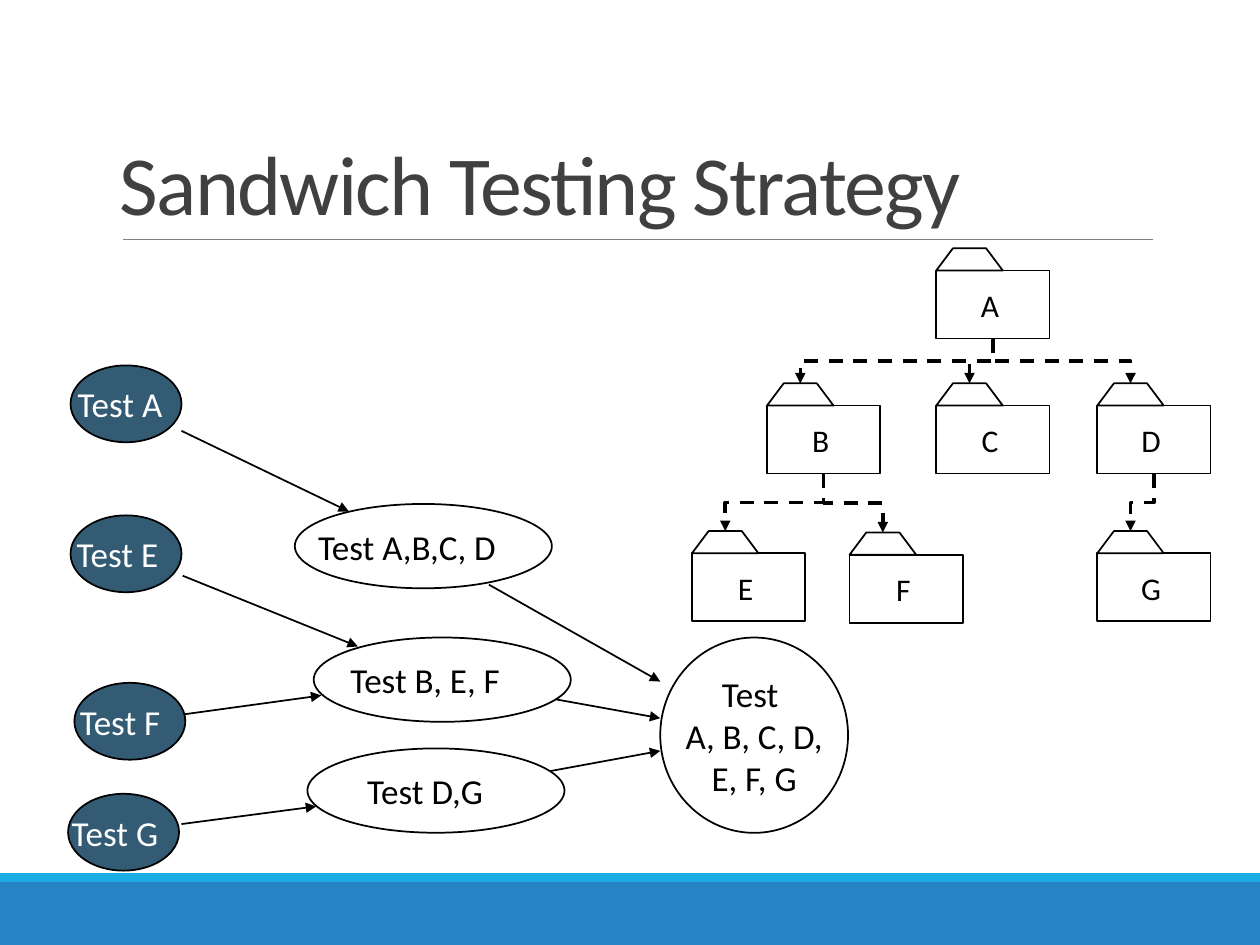
from lxml import etree
from pptx import Presentation, util as u
from pptx.dml.color import RGBColor
from pptx.enum import dml, shapes, text
from pptx.oxml.ns import qn

Pt = u.Pt
FONT = "Calibri"
BLACK, WHITE, NAVY = "000000", "FFFFFF", "335B74"
FOLDER_W, FOLDER_H, TAB_W, TAB_H = 64.8, 38.9, 38, 12.7

# Label, left, top of each folder
FOLDERS = {
    "A": (535, 154.6),
    "B": (438.3, 231.8), "C": (535, 231.8), "D": (627, 231.8),
    "E": (395.4, 316.2), "F": (485.5, 317), "G": (627, 316.2),
}
CALLS = ["AB", "BE", "BF", "DG", "AC", "AD"]

# Label, left, top, shift of the label from the ellipse centre
UNIT_TESTS = [
    ("Test A", 40.3, 208.8, -3.4), ("Test E", 40.3, 294.5, -4.9),
    ("Test F", 42.5, 390.2, -5.6), ("Test G", 38.9, 453.6, -4.9),
]
LAYER_TESTS = [
    ("Test A,B,C, D", 168.5, 288, -9.4), ("Test B, E, F", 179.3, 364.3, -9.8),
    ("Test D,G", 175.7, 427.7, -6.2),
]
TEST_ARROWS = [
    (103.7, 246.2, 199.4, 292.3), (104.4, 329, 204.5, 369.4),
    (105.1, 408.2, 183.6, 397.4), (103.7, 470.9, 180.7, 460.8),
    (279.4, 334.1, 377.3, 389.5), (317.5, 399.6, 377.3, 410.4),
    (314.6, 440.6, 377.3, 429.1),
]


def colour(value):
    return RGBColor.from_string(value)


def write(frame, content, size=20, color=BLACK, align=text.PP_ALIGN.CENTER,
          anchor=text.MSO_ANCHOR.MIDDLE, wrap=False, leading=None, spacing=None):
    frame.word_wrap = wrap
    frame.auto_size = text.MSO_AUTO_SIZE.NONE
    frame.vertical_anchor = anchor
    frame.margin_left = frame.margin_right = Pt(3.6)
    frame.margin_top = frame.margin_bottom = Pt(3.6)
    for index, line in enumerate(content.split("\n")):
        para = frame.add_paragraph() if index else frame.paragraphs[0]
        para.alignment = align
        para.line_spacing = leading
        span = para.add_run()
        span.text = line
        span.font.name, span.font.size = FONT, Pt(size)
        span.font.color.rgb = colour(color)
        if spacing is not None:
            span._r.get_or_add_rPr().set("spc", str(spacing))


def add_shape(page, kind, left, top, width, height, fill=None, line=BLACK):
    shape = page.shapes.add_shape(kind, Pt(left), Pt(top), Pt(width), Pt(height))
    shape.shadow.inherit = False
    if fill:
        shape.fill.solid()
        shape.fill.fore_color.rgb = colour(fill)
    else:
        shape.fill.background()
    if line:
        shape.line.color.rgb = colour(line)
        shape.line.width = Pt(1)
    else:
        shape.line.fill.background()
    return shape


def add_label(page, content, x, y, width, height, **style):
    box = page.shapes.add_textbox(Pt(x - width / 2), Pt(y - height / 2),
                                  Pt(width), Pt(height))
    write(box.text_frame, content, **style)


def add_line(page, x1, y1, x2, y2, kind=shapes.MSO_CONNECTOR.STRAIGHT,
             color=BLACK, width=1, dashed=False, arrow=True):
    line = page.shapes.add_connector(kind, Pt(x1), Pt(y1), Pt(x2), Pt(y2))
    line.line.color.rgb = colour(color)
    line.line.width = Pt(width)
    if dashed:
        line.line.dash_style = dml.MSO_LINE.DASH
    if arrow:
        tail = etree.SubElement(line.line._get_or_add_ln(), qn("a:tailEnd"))
        tail.set("type", "triangle")
    etree.SubElement(line._element.spPr, qn("a:effectLst"))
    return line


def add_call(page, caller, callee):
    """Dashed elbow from the bottom of one folder down to the tab of another."""
    x1, y1 = caller[0] + FOLDER_W / 2, caller[1] + FOLDER_H
    x2, y2 = callee[0] + TAB_W / 2, callee[1] - TAB_H
    # An elbow starts sideways, so it is laid out flat and turned upright
    x, y, run, rise = (x1 + x2) / 2, (y1 + y2) / 2, y2 - y1, abs(x2 - x1)
    line = add_line(page, x - run / 2, y - rise / 2, x + run / 2, y + rise / 2,
                    kind=shapes.MSO_CONNECTOR.ELBOW, width=2, dashed=True)
    xfrm = line._element.spPr.find(qn("a:xfrm"))
    if x2 < x1:
        xfrm.set("rot", "5400000")
    else:
        xfrm.set("rot", "16200000")
        xfrm.set("flipH", "1")


def add_folder(page, name, left, top):
    add_shape(page, shapes.MSO_SHAPE.RECTANGLE, left, top, FOLDER_W, FOLDER_H, fill=WHITE)
    add_label(page, name, left + 30.7, top + FOLDER_H / 2, 20.5, 29.5, size=18)
    tab = add_shape(page, shapes.MSO_SHAPE.TRAPEZOID, left, top - TAB_H, TAB_W, TAB_H,
                    fill=WHITE)
    tab.adjustments[0] = 0.75


def add_test(page, content, left, top, width, height, label_width,
             label_height=31, shift=0, fill=None, color=BLACK):
    add_shape(page, shapes.MSO_SHAPE.OVAL, left, top, width, height, fill=fill)
    add_label(page, content, left + width / 2 + shift, top + height / 2,
              label_width, label_height, color=color)


def add_frame(page):
    # Footer bands and the rule under the title
    for top, height, fill in [(504, 36, "2683C6"), (499, 5, "1CADE4")]:
        add_shape(page, shapes.MSO_SHAPE.RECTANGLE, 0, top, 720, height, fill=fill, line=None)
    add_line(page, 70.5, 136.8, 658.8, 136.8, color="808080", width=0.5, arrow=False)

    title = page.shapes.title
    title.left, title.top, title.width, title.height = Pt(64.8), Pt(22.3), Pt(594), Pt(114.5)
    write(title.text_frame, "Sandwich Testing Strategy", size=48, color="404040",
          align=text.PP_ALIGN.LEFT, anchor=text.MSO_ANCHOR.BOTTOM, wrap=True,
          leading=0.85, spacing=-100)


def main():
    deck = Presentation()
    deck.slide_width, deck.slide_height = Pt(720), Pt(540)
    page = deck.slides.add_slide(deck.slide_layouts[5])
    add_frame(page)

    # Test flow, from single units to the whole system
    add_test(page, "Test \nA, B, C, D,\nE, F, G", 377.3, 364.3, 107.3, 111.6, 108, 79)
    for content, left, top, shift in LAYER_TESTS:
        add_test(page, content, left, top, 146.9, 48.2, 112, shift=shift)
    for content, left, top, shift in UNIT_TESTS:
        add_test(page, content, left, top, 63.4, 43.9, 63, shift=shift,
                 fill=NAVY, color=WHITE)
    for ends in TEST_ARROWS:
        add_line(page, *ends)

    # Call hierarchy of the subsystems
    for caller, callee in CALLS:
        add_call(page, FOLDERS[caller], FOLDERS[callee])
    for name, (left, top) in FOLDERS.items():
        add_folder(page, name, left, top)

    deck.save("out.pptx")


if __name__ == "__main__":
    main()
